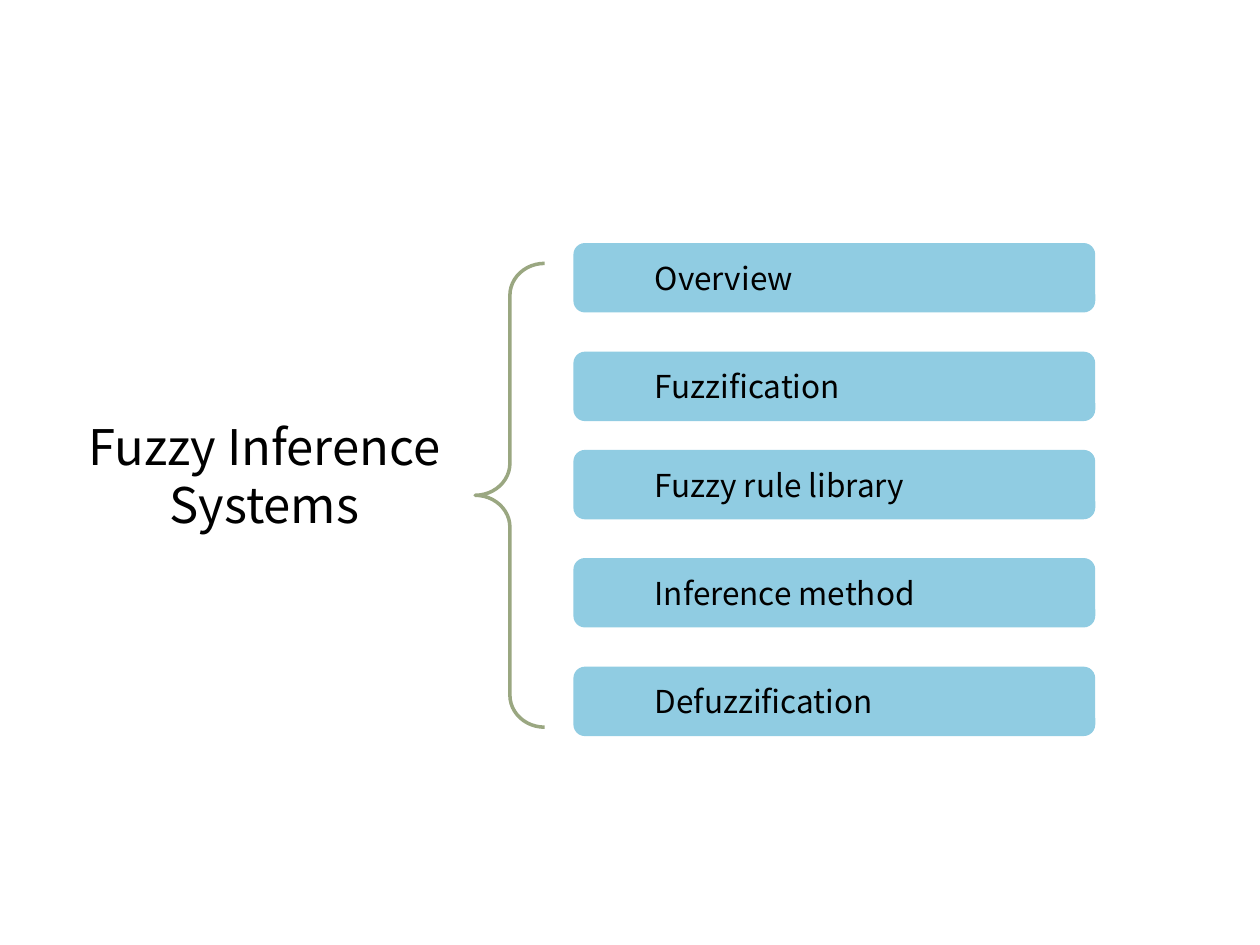
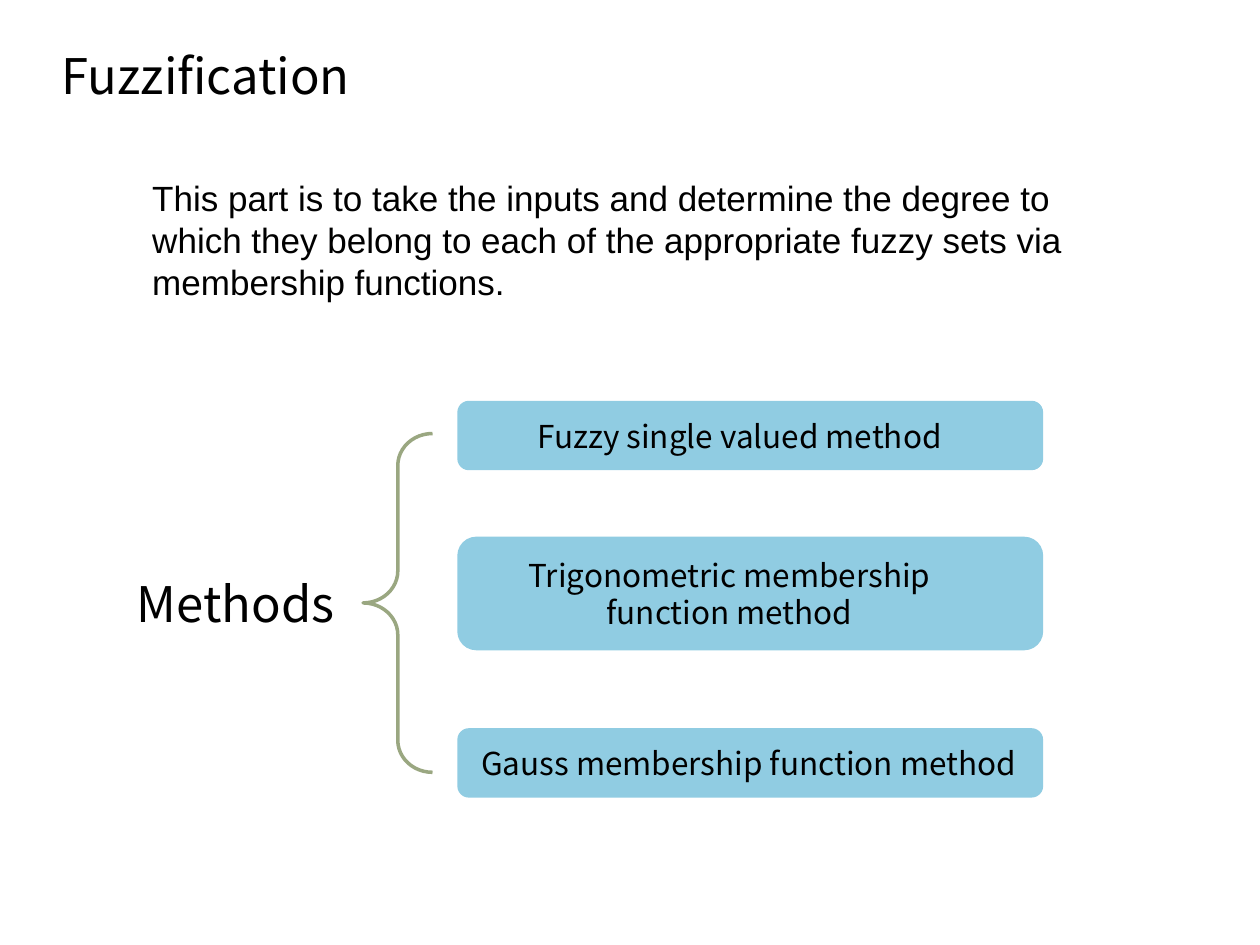
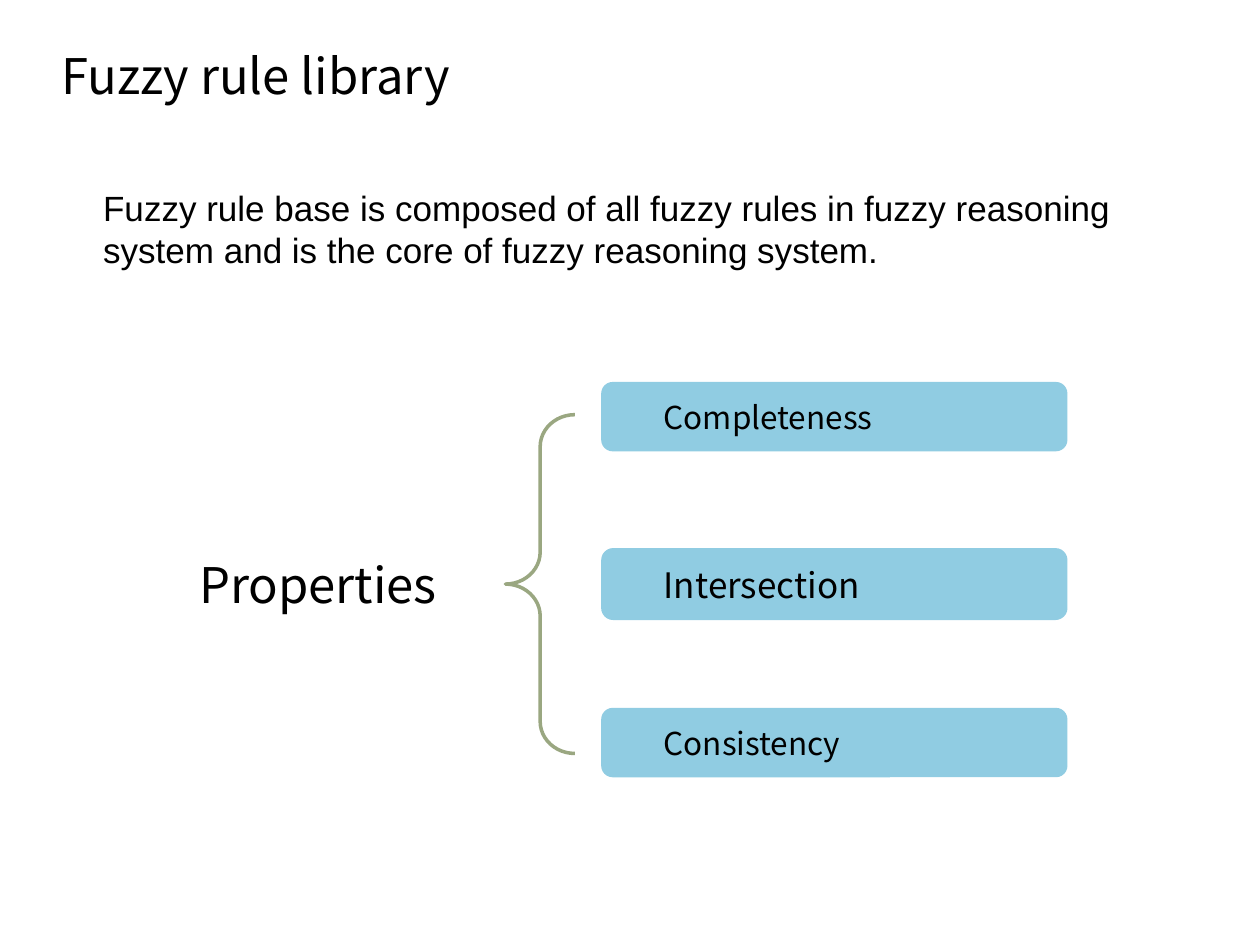
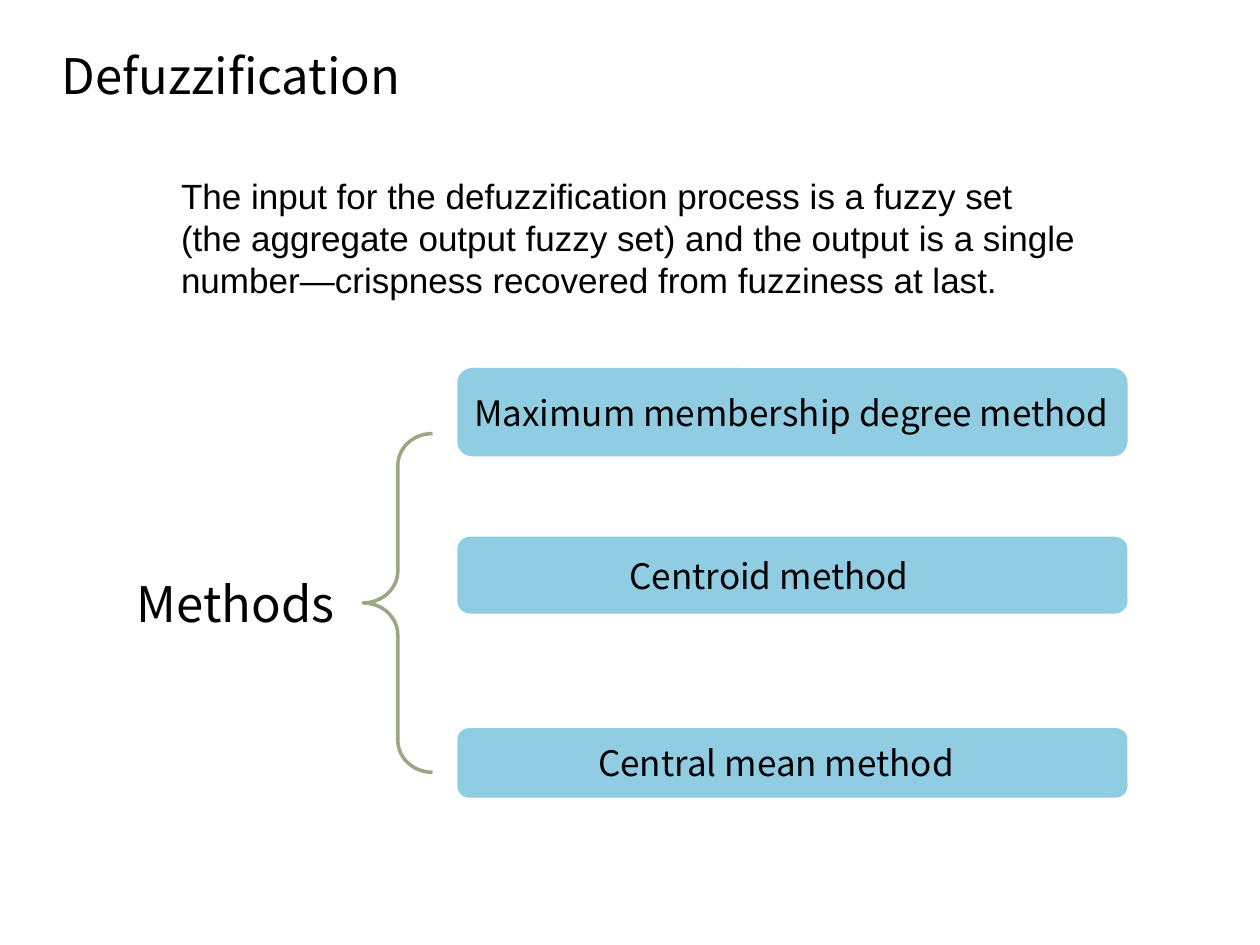
from dataclasses import dataclass

from pptx import Presentation
from pptx.dml.color import RGBColor
from pptx.enum.shapes import MSO_SHAPE as SHAPE
from pptx.enum.text import MSO_ANCHOR as ANCHOR, MSO_AUTO_SIZE as AUTO, PP_ALIGN as ALIGN
from pptx.util import Cm, Pt


@dataclass(frozen=True)
class Theme:
    text: RGBColor = RGBColor.from_string("000000")
    bar: RGBColor = RGBColor.from_string("90CCE2")
    brace: RGBColor = RGBColor.from_string("9AA781")
    head_font: str = "Noto Sans CJK SC"
    body_font: str = "Arial"
    head_size: int = 28
    body_size: int = 20
    label_size: int = 18
    line_height: float = 1.2


T = Theme()
L, C = ALIGN.LEFT, ALIGN.CENTER
BAR_H = 1.4
BRACE_W = 1.4
LABEL_PAD = 0.25


def write(sp, box, text, size, font=T.head_font, align=L):
    sp.left, sp.top, sp.width, sp.height = [Cm(v) for v in box]
    tf = sp.text_frame
    tf.text = text
    tf.word_wrap = True
    tf.auto_size = AUTO.NONE
    tf.vertical_anchor = ANCHOR.TOP
    for p in tf.paragraphs:
        p.alignment = align
        p.line_spacing = Pt(size * T.line_height)
        p.space_before = Pt(0)
        p.font.name = font
        p.font.size = Pt(size)
        p.font.color.rgb = T.text


def add_plain_shape(s, kind, box):
    sp = s.shapes.add_shape(kind, *[Cm(v) for v in box])
    sp.shadow.inherit = False
    return sp


slides = [
    dict(
        title="Fuzzy Inference\nSystems", title_box=(1.42, 8.26, 7.82, 2.64), title_align=C,
        brace=(9.58, 5.31, 9.35), bar_x=11.56, bar_w=10.52,
        bars=[
            (4.9, BAR_H, "Overview", 12.95, 9.55, T.label_size, L),
            (7.09, BAR_H, "Fuzzification", 12.95, 9.55, T.label_size, L),
            (9.07, BAR_H, "Fuzzy rule library", 12.95, 9.55, T.label_size, L),
            (11.25, BAR_H, "Inference method", 12.95, 9.55, T.label_size, L),
            (13.44, BAR_H, "Defuzzification", 12.95, 5.03, T.label_size, L),
        ],
    ),
    dict(
        title="Fuzzification", title_box=(0.99, 0.79, 6.4, 1.45),
        body="This part is to take the inputs and determine the degree to which they belong "
             "to each of the appropriate fuzzy sets via membership functions.",
        body_box=(2.82, 3.43, 19.79, 2.82),
        hub="Methods", hub_box=(2.39, 11.43, 4.72, 1.45),
        brace=(7.32, 8.74, 6.83), bar_x=9.22, bar_w=11.81,
        bars=[
            (8.08, BAR_H, "Fuzzy single valued method", 9.55, 10.72, T.label_size, C),
            (10.82, 2.29, "Trigonometric membership\nfunction method", 9.45, 10.52, T.label_size, C),
            (14.68, BAR_H, "Gauss membership function method", 9.45, 13.03, T.label_size, L),
        ],
    ),
    dict(
        title="Fuzzy rule library", title_box=(0.99, 0.79, 8.56, 1.45),
        body="Fuzzy rule base is composed of all fuzzy rules in fuzzy reasoning system "
             "and is the core of fuzzy reasoning system.",
        body_box=(1.83, 3.63, 21.74, 1.96),
        hub="Properties", hub_box=(3.73, 11.05, 5.36, 1.45),
        brace=(10.19, 8.36, 6.83), bar_x=12.12, bar_w=9.4,
        bars=[
            (7.7, BAR_H, "Completeness", 13.13, 8.53, T.label_size, L),
            (11.05, 1.45, "Intersection", 13.13, 8.38, T.body_size, L),
            (14.27, BAR_H, "Consistency", 13.13, 10.24, T.label_size, L),
        ],
    ),
    dict(
        title="Defuzzification", title_box=(0.99, 0.79, 7.52, 1.45),
        body="The input for the defuzzification process is a fuzzy set (the aggregate output "
             "fuzzy set) and the output is a single number—crispness recovered from "
             "fuzziness at last.",
        body_box=(3.4, 3.4, 18.57, 2.82),
        hub="Methods", hub_box=(2.39, 11.43, 4.72, 1.45),
        brace=(7.32, 8.74, 6.83), bar_x=9.22, bar_w=13.51,
        bars=[
            (7.42, 1.78, "Maximum membership degree method", 8.71, 14.5, T.body_size, C),
            (10.82, 1.55, "Centroid method", 9.47, 12.07, T.body_size, C),
            (14.68, BAR_H, "Central mean method", 11.81, 8.43, T.body_size, L),
        ],
    ),
]

prs = Presentation()
prs.slide_width, prs.slide_height = Cm(25.4), Cm(19.05)
title_only = prs.slide_layouts[5]

for d in slides:
    s = prs.slides.add_slide(title_only)
    write(s.shapes.title, d["title_box"], d["title"], T.head_size, align=d.get("title_align", L))

    if "body" in d:
        sp = s.shapes.add_textbox(0, 0, 0, 0)
        write(sp, d["body_box"], d["body"], T.body_size, T.body_font)
        sp = s.shapes.add_textbox(0, 0, 0, 0)
        write(sp, d["hub_box"], d["hub"], T.head_size, align=C)

    x, y, h = d["brace"]
    sp = add_plain_shape(s, SHAPE.LEFT_BRACE, (x, y, BRACE_W, h))
    sp.adjustments[0] = 0.46
    sp.fill.background()
    sp.line.color.rgb = T.brace
    sp.line.width = Pt(2)

    for top, height, text, label_x, label_w, size, align in d["bars"]:
        sp = add_plain_shape(s, SHAPE.ROUNDED_RECTANGLE, (d["bar_x"], top, d["bar_w"], height))
        sp.fill.solid()
        sp.fill.fore_color.rgb = T.bar
        sp.line.fill.background()

        lines = text.count("\n") + 1
        label_h = lines * Pt(size * T.line_height).cm + LABEL_PAD
        label_y = top + (height - label_h) / 2
        sp = s.shapes.add_textbox(0, 0, 0, 0)
        write(sp, (label_x, label_y, label_w, label_h), text, size, align=align)

prs.save("out.pptx")
